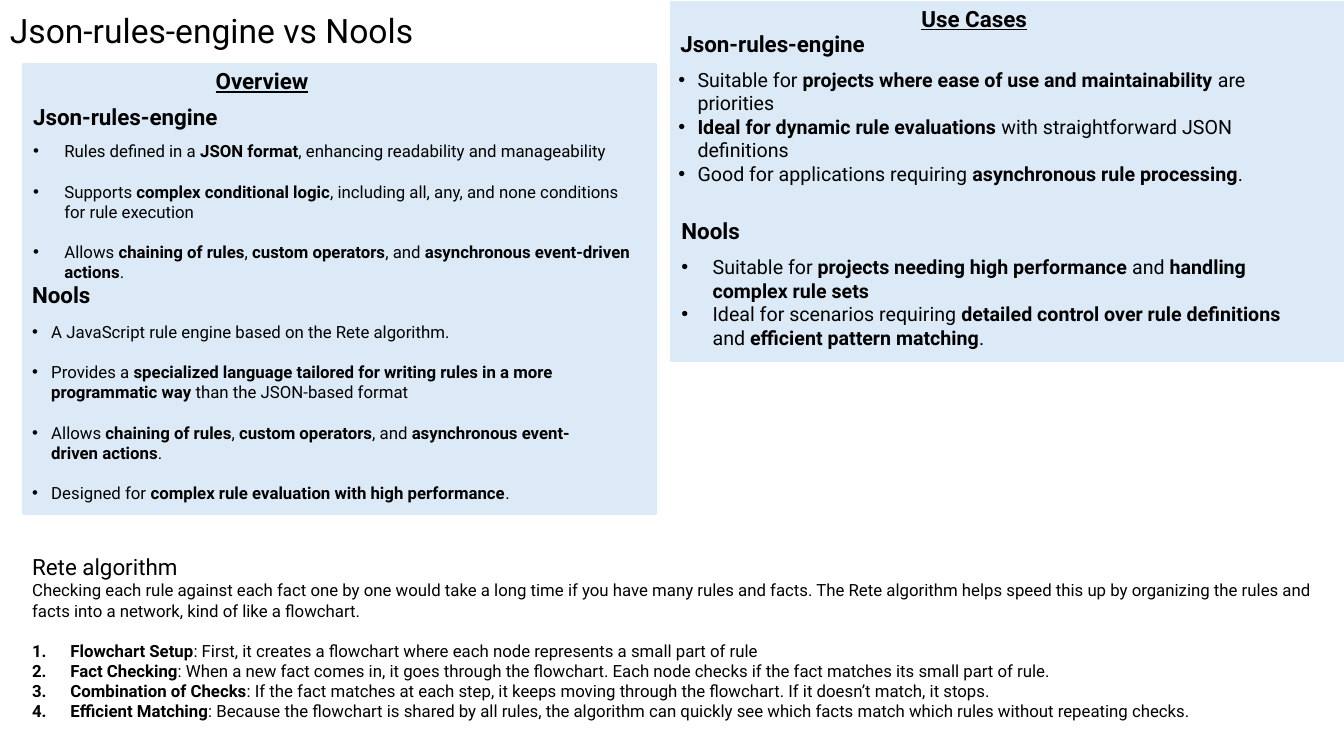
"""Build a one-slide comparison of two JavaScript rule engines."""
from lxml.etree import SubElement
from pptx import Presentation
from pptx.dml.color import RGBColor
from pptx.enum.shapes import MSO_SHAPE as Shape
from pptx.oxml.ns import qn
from pptx.util import Inches, Pt

BLACK = RGBColor(0x00, 0x00, 0x00)
PANEL_BLUE = RGBColor(0xDC, 0xEA, 0xF7)
FONT = "Roboto"
LINE_GAP = 14.4


def add_text(shapes, box, paragraphs, size=12, bold=False, underline=False,
             indent=0, numbered=False, gap=0, lead=()):
    """Write paragraphs, with **bold** parts; lead holds (text, size, gap) before them."""
    frame = shapes.add_textbox(*map(Inches, box)).text_frame
    frame.word_wrap = True
    rows = [(*row, 0) for row in lead]
    rows += [(text, size, gap, indent) for text in paragraphs]
    for index, (text, points, after, hanging) in enumerate(rows):
        paragraph = frame.add_paragraph() if index else frame.paragraphs[0]
        paragraph.space_after = Pt(after if index < len(rows) - 1 else 0)
        for part, words in enumerate(text.split("**")):
            if words:
                run = paragraph.add_run()
                run.text = words
                run.font.name = FONT
                run.font.size = Pt(points)
                run.font.bold = bold or part % 2 == 1
                run.font.underline = underline
                run.font.color.rgb = BLACK
        if hanging:
            properties = paragraph._p.get_or_add_pPr()
            properties.set("marL", str(Inches(hanging)))
            properties.set("indent", str(-Inches(hanging)))
            if numbered:
                SubElement(properties, qn("a:buFont"), typeface="+mj-lt")
                SubElement(properties, qn("a:buAutoNum"), type="arabicPeriod")
            else:
                SubElement(properties, qn("a:buFont"), typeface="Arial")
                SubElement(properties, qn("a:buChar"), char="•")


deck = Presentation()
deck.slide_width, deck.slide_height = Inches(13.33), Inches(7.5)
slide = deck.slides.add_slide(deck.slide_layouts[6])

add_text(slide.shapes, (0, 0.05, 5.33, 0.5), ["Json-rules-engine vs Nools"], size=24)

overview_engine = [
    "Rules defined in a **JSON format**, enhancing readability and manageability",
    "Supports **complex conditional logic**, including all, any, and none conditions for rule execution",
    "Allows **chaining of rules**, **custom operators**, and **asynchronous event-driven actions**.",
]
overview_nools = [
    "A JavaScript rule engine based on the Rete algorithm.",
    "Provides a **specialized language tailored for writing rules in a more programmatic way** than the JSON-based format",
    overview_engine[-1],
    "Designed for **complex rule evaluation with high performance**.",
]
use_engine = [
    "Suitable for **projects where ease of use and maintainability **are priorities",
    "**Ideal for dynamic rule evaluations **with straightforward JSON definitions",
    "Good for applications requiring **asynchronous rule processing**.",
]
use_nools = [
    "Suitable for **projects needing high performance** and **handling complex rule sets**",
    "Ideal for scenarios requiring **detailed control over rule definitions **and **efficient pattern matching**.",
]

panels = [
    ((0.23, 0.64, 6.28, 4.46), "Overview", (2.04, 0.62), 12, LINE_GAP, [
        ("Json-rules-engine", (0.23, 0.97), overview_engine, (0.23, 1.35, 6.19, 1.45), 0.31),
        ("Nools", (0.22, 2.74), overview_nools, (0.22, 3.14, 5.86, 2.12), 0.19),
    ]),
    ((6.66, 0.02, 6.67, 3.56), "Use Cases", (9.04, 0), 14, 0, [
        ("Json-rules-engine", (6.65, 0.25), use_engine, (6.63, 0.62, 6.44, 1.49), 0.19),
        ("Nools", (6.66, 2.11), use_nools, (6.66, 2.48, 6.44, 1.04), 0.31),
    ]),
]
for panel_box, heading, heading_at, size, gap, engines in panels:
    group = slide.shapes.add_group_shape().shapes
    panel = group.add_shape(Shape.RECTANGLE, *map(Inches, panel_box))
    panel.shadow.inherit = False
    panel.fill.solid()
    panel.fill.fore_color.rgb = PANEL_BLUE
    panel.line.color.rgb = PANEL_BLUE
    panel.line.width = Pt(1.5)
    add_text(group, (*heading_at, 1.72, 0.36), [heading], size=16, bold=True, underline=True)
    for engine, engine_at, points, points_box, indent in engines:
        add_text(group, (*engine_at, 2.14, 0.36), [engine], size=16, bold=True)
        add_text(group, points_box, points, size=size, indent=indent, gap=gap)

rete_lead = [
    ("Rete algorithm", 16, 0),
    ("Checking each rule against each fact one by one would take a long time if you have many rules and facts. "
     "The Rete algorithm helps speed this up by organizing the rules and facts into a network, "
     "kind of like a flowchart.", 12, LINE_GAP),
]
rete_steps = [
    "**Flowchart Setup**: First, it creates a flowchart where each node represents a small part of rule",
    "**Fact Checking**: When a new fact comes in, it goes through the flowchart. "
    "Each node checks if the fact matches its small part of rule.",
    "**Combination of Checks**: If the fact matches at each step, it keeps moving through the flowchart. "
    "If it doesn’t match, it stops.",
    "**Efficient Matching**: Because the flowchart is shared by all rules, "
    "the algorithm can quickly see which facts match which rules without repeating checks.",
]
add_text(slide.shapes, (0.22, 5.44, 13.11, 2.09), rete_steps, indent=0.38, numbered=True, lead=rete_lead)

deck.save("out.pptx")
